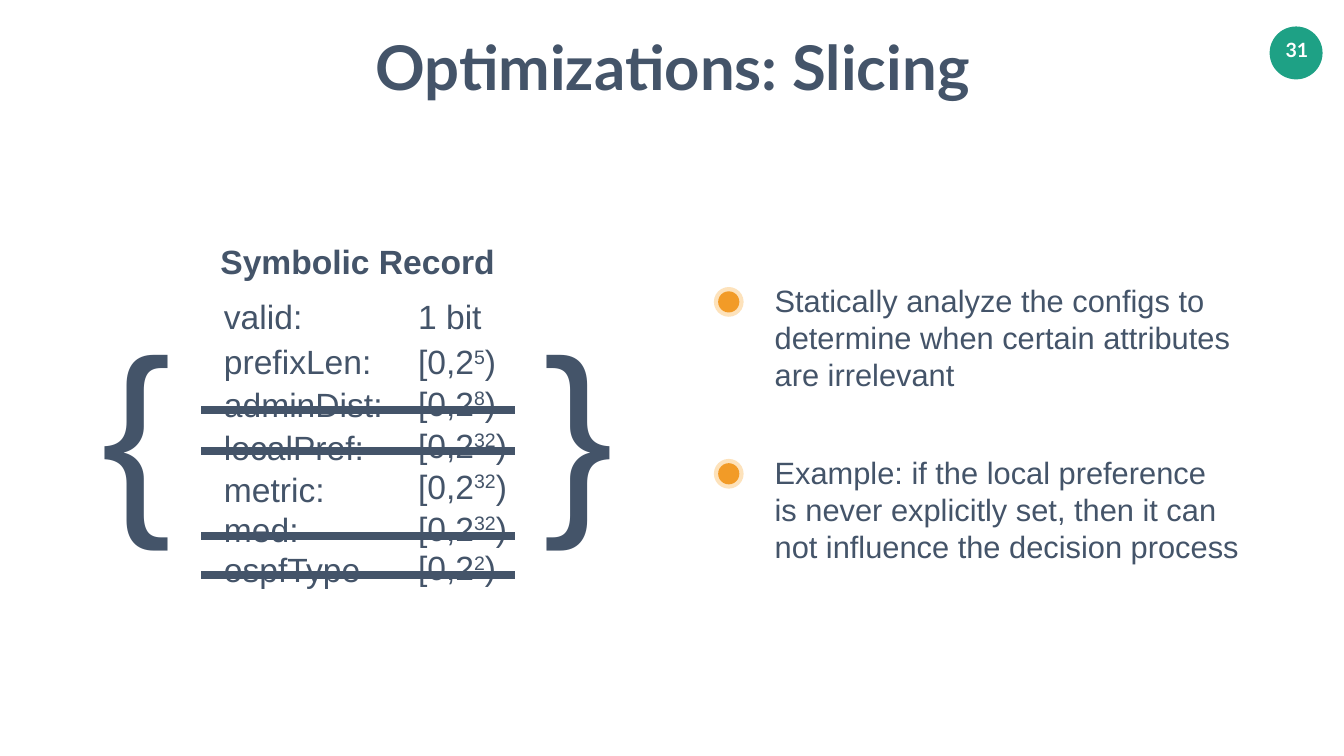
from lxml.etree import SubElement
from pptx import Presentation
from pptx.dml.color import RGBColor
from pptx.enum.shapes import MSO_CONNECTOR as Connector, MSO_SHAPE as Shape
from pptx.enum.text import MSO_ANCHOR as Anchor, MSO_AUTO_SIZE as AutoSize, PP_ALIGN as Align
from pptx.oxml.ns import qn
from pptx.util import Inches, Pt

COLUMNS, ROWS = 26.65, 15  # grid of one-inch cells
CELL = Inches(1)
SLATE = RGBColor(0x44, 0x54, 0x69)
GREEN = RGBColor(0x1E, 0xA1, 0x85)
ORANGE = RGBColor(0xF2, 0x9B, 0x27)
PALE_ORANGE = RGBColor(0xFD, 0xE2, 0xBB)
WHITE = RGBColor(0xFF, 0xFF, 0xFF)
HEADING_FONT, BODY_FONT = "Lato", "Arial"
LINE_HEIGHT = 1.2  # body line pitch, in ems

# label, label width, label top, value, exponent, value width, value top
FIELDS = [
    ("valid:", 1.67, 5.82, "1 bit", None, 1.37, 5.82),
    ("prefixLen:", 3.04, 6.72, "[0,2", "5", 1.7, 6.72),
    ("adminDist:", 3.26, 7.57, "[0,2", "8", 1.7, 7.54),
    ("localPref:", 2.89, 8.42, "[0,2", "32", 1.94, 8.38),
    ("metric:", 2.11, 9.26, "[0,2", "32", 1.94, 9.2),
    ("med:", 1.6, 10.05, "[0,2", "32", 1.94, 10.02),
    ("ospfType", 2.82, 10.85, "[0,2", "2", 1.7, 10.81),
]
STRIKES = [8.13, 8.95, 10.63, 11.41]
POINTS = [
    (5.54, ["Statically analyze the configs to",
            "determine when certain attributes",
            "are irrelevant"]),
    (8.95, ["Example: if the local preference",
            "is never explicitly set, then it can",
            "not influence the decision process"]),
]


class SlideBuilder:
    def __init__(self, presentation):
        self.slide = presentation.slides.add_slide(presentation.slide_layouts[3])
        self.heading, *self.bodies = self.slide.placeholders

    def place(self, shape, left, top, width, height):
        shape.left, shape.top = int(left * CELL), int(top * CELL)
        shape.width, shape.height = int(width * CELL), int(height * CELL)

    def frame(self, shape, inset=0.05):
        text_frame = shape.text_frame
        text_frame.word_wrap = False
        text_frame.vertical_anchor = Anchor.TOP
        text_frame.margin_left = text_frame.margin_right = Inches(inset)
        text_frame.margin_top = text_frame.margin_bottom = Inches(inset)
        return text_frame

    def style(self, paragraph, size, font=BODY_FONT, color=SLATE, bold=False, align=Align.LEFT):
        paragraph.alignment = align
        if font == BODY_FONT:
            paragraph.line_spacing = Pt(size * LINE_HEIGHT)
        for run in paragraph.runs:
            run.font.name, run.font.size, run.font.bold = font, Pt(size), bold
            run.font.color.rgb = color

    def title(self, text, left, top, width, height):
        self.place(self.heading, left, top, width, height)
        text_frame = self.frame(self.heading)
        text_frame.auto_size = AutoSize.NONE
        text_frame.text = text
        self.style(text_frame.paragraphs[0], 88, HEADING_FONT, bold=True, align=Align.CENTER)

    def body(self, placeholder, lines, left, top, width, height):
        self.place(placeholder, left, top, width, height)
        text_frame = self.frame(placeholder)
        text_frame.auto_size = AutoSize.NONE
        text_frame.text = "\n".join(lines)
        for paragraph in text_frame.paragraphs:
            self.style(paragraph, 44)
            paragraph.space_before = Pt(0)
            properties = paragraph._p.get_or_add_pPr()
            properties.set("marL", "0")
            properties.set("indent", "0")
            SubElement(properties, qn("a:buNone"))

    def text(self, text, left, top, width, height=0.91, size=48, exponent=None, inset=0.05, **style):
        box = self.slide.shapes.add_textbox(0, 0, 0, 0)
        self.place(box, left, top, width, height)
        text_frame = self.frame(box, inset)
        text_frame.auto_size = AutoSize.SHAPE_TO_FIT_TEXT
        text_frame.text = text
        paragraph = text_frame.paragraphs[0]
        if exponent:
            raised = paragraph.add_run()
            raised.text = exponent
            raised._r.get_or_add_rPr().set("baseline", "32000")
            paragraph.add_run().text = ")"
        self.style(paragraph, size, **style)

    def disc(self, center_x, center_y, diameter, color):
        disc = self.slide.shapes.add_shape(Shape.OVAL, 0, 0, 0, 0)
        self.place(disc, center_x - diameter / 2, center_y - diameter / 2, diameter, diameter)
        disc.shadow.inherit = False
        disc.fill.solid()
        disc.fill.fore_color.rgb = color
        disc.line.fill.background()

    def strike(self, left, right, row):
        ends = [int(length * CELL) for length in (left, row, right, row)]
        line = self.slide.shapes.add_connector(Connector.STRAIGHT, *ends)
        line.line.color.rgb = SLATE
        line.line.width = Pt(11)
        SubElement(line._element.spPr, qn("a:effectLst"))


def main():
    presentation = Presentation()
    presentation.slide_width = int(COLUMNS * CELL)
    presentation.slide_height = int(ROWS * CELL)
    builder = SlideBuilder(presentation)

    # Title and page number
    builder.title("Optimizations: Slicing", 6.86, 0.53, 12.95, 1.57)
    builder.disc(25.7, 1.05, 1.05, GREEN)
    builder.text("31", 25.39, 0.66, 0.65, 0.67, size=28, inset=0.1,
                 font=HEADING_FONT, color=WHITE, bold=True, align=Align.CENTER)

    # Symbolic record between braces
    builder.text("Symbolic Record", 4.32, 4.73, 5.56, bold=True)
    for brace, left in (("{", 1.97), ("}", 10.73)):
        builder.text(brace, left, 5.85, 1.51, 5.1, size=300)
    for label, label_width, label_top, value, exponent, value_width, value_top in FIELDS:
        builder.text(label, 4.39, label_top, label_width)
        builder.text(value, 8.24, value_top, value_width, exponent=exponent)

    # Attributes sliced away
    for row in STRIKES:
        builder.strike(3.99, 10.21, row)

    # Explanatory points with round markers
    for placeholder, (top, lines) in zip(builder.bodies, POINTS):
        builder.body(placeholder, lines, 15.31, top, 9.32, 2.31)
        builder.disc(14.45, top + 0.45, 0.59, PALE_ORANGE)
        builder.disc(14.45, top + 0.45, 0.42, ORANGE)

    presentation.save("out.pptx")


if __name__ == "__main__":
    main()
